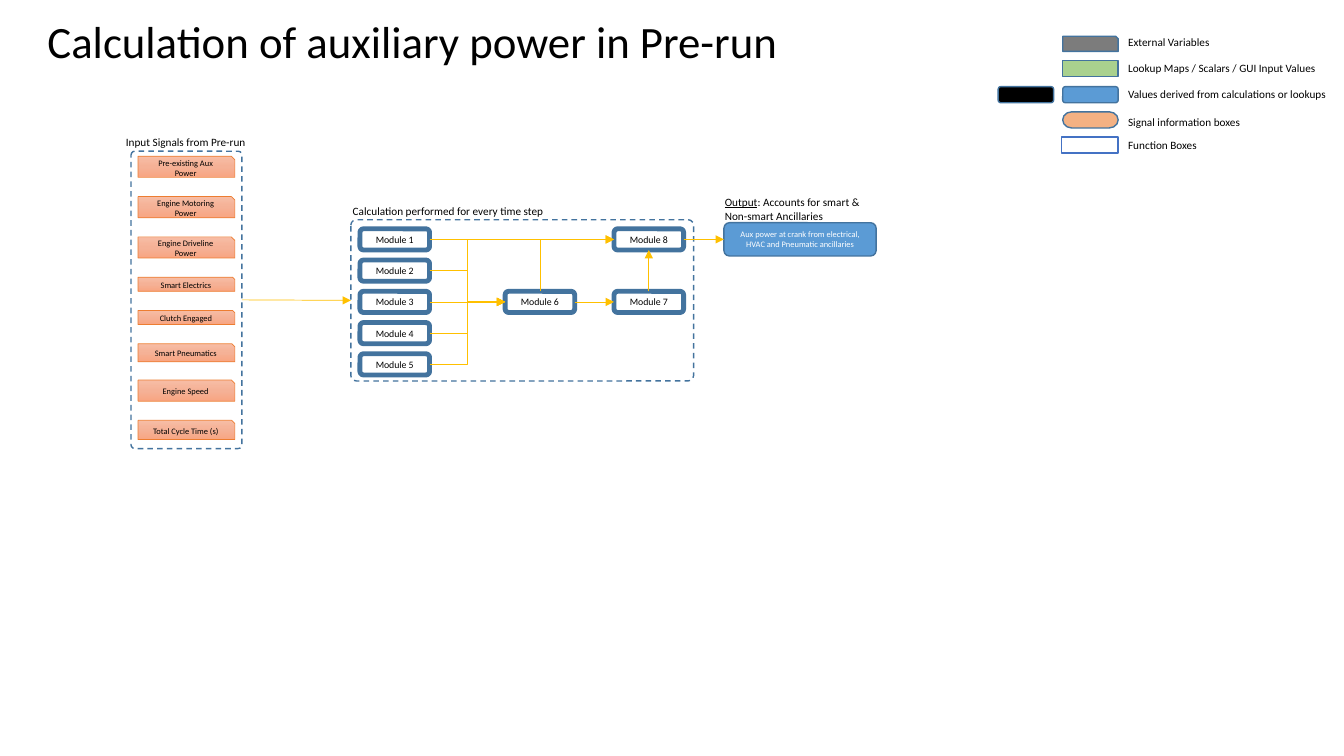
"""Build the slide on how auxiliary power is calculated in the pre-run."""
from copy import deepcopy
from dataclasses import dataclass
from typing import Optional

from lxml.etree import SubElement
from pptx import Presentation
from pptx.dml.color import RGBColor
from pptx.enum.dml import MSO_LINE
from pptx.enum.shapes import MSO_CONNECTOR as Route, MSO_SHAPE as Geometry
from pptx.enum.text import MSO_ANCHOR as Anchor, MSO_AUTO_SIZE as AutoSize, PP_ALIGN as Align
from pptx.oxml.ns import qn
from pptx.shapes.autoshape import Shape
from pptx.shapes.connector import Connector
from pptx.slide import Slide
from pptx.text.text import TextFrame
from pptx.util import Emu, Pt

EMU_PER_PX = 9144
FONT = "Calibri"
BLACK = RGBColor(0x00, 0x00, 0x00)
WHITE = RGBColor(0xFF, 0xFF, 0xFF)
STEEL = RGBColor(0x43, 0x73, 0x9E)
BLUE = RGBColor(0x5B, 0x9B, 0xD5)
ROYAL = RGBColor(0x44, 0x72, 0xC4)
GRAY = RGBColor(0x7C, 0x7C, 0x7C)
GREEN = RGBColor(0xA9, 0xD1, 0x8E)
PEACH = RGBColor(0xF4, 0xB1, 0x83)
ORANGE = RGBColor(0xED, 0x7D, 0x31)
GOLD = RGBColor(0xFF, 0xC0, 0x00)
SIGNAL_STOPS = (
    (0, RGBColor(0xF7, 0xBD, 0xA5)),
    (0.5, RGBColor(0xF5, 0xB1, 0x96)),
    (1, RGBColor(0xF8, 0xA5, 0x82)),
)
TOP, LEFT, BOTTOM, RIGHT = range(4)


@dataclass(frozen=True)
class Box:
    left: int
    top: int
    width: int
    height: int
    geometry: Geometry = Geometry.ROUNDED_RECTANGLE
    fill: Optional[RGBColor] = None
    line: RGBColor = STEEL
    weight: float = 1
    text: str = ""
    size: int = 6
    color: RGBColor = BLACK


@dataclass(frozen=True)
class Label:
    text: str
    left: int
    top: int
    width: int
    height: int = 24
    underlined: str = ""


@dataclass(frozen=True)
class Link:
    start: str
    start_side: int
    end: str
    end_side: int
    route: Route = Route.STRAIGHT


@dataclass(frozen=True)
class LegendRow:
    text: str
    text_top: int
    text_width: int
    swatch: Box


MODULE_SPOTS = {f"Module {row + 1}": (357, 227 + 31 * row) for row in range(5)}
MODULE_SPOTS |= {"Module 6": (501, 289), "Module 7": (609, 289), "Module 8": (609, 227)}

SIGNALS = (
    ("Pre-existing Aux Power", 155, 21),
    ("Engine Motoring Power", 195, 21),
    ("Engine Driveline Power", 235, 21),
    ("Smart Electrics", 275, 14),
    ("Clutch Engaged", 308, 14),
    ("Smart Pneumatics", 341, 18),
    ("Engine Speed", 377, 21),
    ("Total Cycle Time (s)", 417, 19),
)
FRAMES = {"inputs": Box(130, 150, 110, 295), "calculation": Box(348, 218, 340, 160)}
OUTPUT = Box(718, 221, 151, 33, fill=BLUE, color=WHITE,
             text="Aux power at crank from electrical, HVAC and Pneumatic ancillaries")
LABELS = (
    Label("Input Signals from Pre-run", 115, 129, 140),
    Label("Output: Accounts for smart &\nNon-smart Ancillaries", 709, 189, 155, 37, "Output"),
    Label("Calculation performed for every time step", 340, 198, 214),
)
LINKS = (
    *(Link(f"Module {n}", RIGHT, "Module 6", LEFT, Route.ELBOW) for n in range(1, 6)),
    Link("Module 6", RIGHT, "Module 7", LEFT),
    Link("Module 1", RIGHT, "Module 8", LEFT),
    Link("Module 7", TOP, "Module 8", BOTTOM),
    Link("Module 8", RIGHT, "output", LEFT),
    Link("inputs", RIGHT, "calculation", LEFT),
)
LEGEND = (
    LegendRow("External Variables", 30, 105,
              Box(1054, 36, 55, 15, Geometry.SNIP_1_RECTANGLE, GRAY)),
    LegendRow("Lookup Maps / Scalars / GUI Input Values", 56, 211,
              Box(1054, 60, 55, 16, Geometry.RECTANGLE, GREEN)),
    LegendRow("Values derived from calculations or lookups", 82, 220,
              Box(1054, 86, 55, 16, fill=BLUE)),
    LegendRow("Signal information boxes", 109, 133,
              Box(1054, 111, 55, 16, Geometry.FLOWCHART_TERMINATOR, PEACH)),
    LegendRow("Function Boxes", 132, 90,
              Box(1053, 136, 56, 16, Geometry.RECTANGLE, WHITE, ROYAL)),
)
SPARE_SWATCH = Box(990, 86, 55, 16, fill=BLACK)


def px(*lengths: int) -> list[Emu]:
    return [Emu(length * EMU_PER_PX) for length in lengths]


def write(frame: TextFrame, text: str, *, size: int, color: RGBColor = BLACK,
          align: Align = Align.LEFT, anchor: Anchor = Anchor.TOP,
          wrap: bool = False, underlined: str = "") -> None:
    frame.word_wrap = wrap
    frame.auto_size = AutoSize.NONE if wrap else AutoSize.SHAPE_TO_FIT_TEXT
    frame.vertical_anchor = anchor
    for index, line in enumerate(text.split("\n")):
        para = frame.add_paragraph() if index else frame.paragraphs[0]
        para.alignment = align
        lead = underlined if underlined and line.startswith(underlined) else ""
        for part in filter(None, (lead, line[len(lead):])):
            span = para.add_run()
            span.text = part
            span.font.name, span.font.size = FONT, Pt(size)
            span.font.color.rgb = color
            if part == lead:
                span.font.underline = True


def draw_box(page: Slide, box: Box) -> Shape:
    shape = page.shapes.add_shape(
        box.geometry, *px(box.left, box.top, box.width, box.height))
    shape.shadow.inherit = False
    if box.fill is None:
        shape.fill.background()
    else:
        shape.fill.solid()
        shape.fill.fore_color.rgb = box.fill
    shape.line.color.rgb = box.line
    shape.line.width = Pt(box.weight)
    if box.text:
        write(shape.text_frame, box.text, size=box.size, color=box.color,
              align=Align.CENTER, anchor=Anchor.MIDDLE, wrap=True)
    return shape


def draw_frame(page: Slide, box: Box) -> Shape:
    shape = draw_box(page, box)
    shape.adjustments[0] = 0.034
    shape.line.dash_style = MSO_LINE.DASH
    return shape


def draw_signal(page: Slide, text: str, top: int, height: int) -> None:
    shape = draw_box(page, Box(137, top, 96, height, Geometry.SNIP_1_RECTANGLE,
                               line=ORANGE, weight=0.5, text=text))
    shape.fill.gradient()
    shape.fill.gradient_angle = 270
    stop_list = shape._element.spPr.find(f"{qn('a:gradFill')}/{qn('a:gsLst')}")
    stop_list.append(deepcopy(stop_list[-1]))
    for stop, (position, color) in zip(shape.fill.gradient_stops, SIGNAL_STOPS):
        stop.position = position
        stop.color.rgb = color


def draw_label(page: Slide, label: Label) -> None:
    box = page.shapes.add_textbox(*px(label.left, label.top, label.width, label.height))
    write(box.text_frame, label.text, size=8, underlined=label.underlined)


def draw_link(page: Slide, link: Link, shapes: dict[str, Shape],
              arrow: str = "a:tailEnd") -> Connector:
    connector = page.shapes.add_connector(link.route, 0, 0, 0, 0)
    connector.begin_connect(shapes[link.start], link.start_side)
    connector.end_connect(shapes[link.end], link.end_side)
    connector.line.color.rgb = GOLD
    connector.line.width = Pt(0.5)
    properties = connector._element.spPr
    SubElement(properties.find(qn("a:ln")), qn(arrow), type="triangle")
    SubElement(properties, qn("a:effectLst"))
    return connector


def main() -> None:
    deck = Presentation()
    deck.slide_width, deck.slide_height = px(1333, 750)
    page = deck.slides.add_slide(deck.slide_layouts[5])
    title = page.shapes.title
    title.left, title.top, title.width, title.height = px(37, 9, 755, 64)
    write(title.text_frame, "Calculation of auxiliary power in Pre-run", size=32)

    shapes = {name: draw_frame(page, box) for name, box in FRAMES.items()}
    for name, (left, top) in MODULE_SPOTS.items():
        shapes[name] = draw_box(page, Box(left, top, 69, 21, fill=WHITE,
                                          weight=3.5, text=name, size=7))
    shapes["output"] = draw_box(page, OUTPUT)
    for signal in SIGNALS:
        draw_signal(page, *signal)
    for link in LINKS:
        draw_link(page, link, shapes)
    corner = draw_link(page, Link("Module 8", LEFT, "Module 6", TOP, Route.ELBOW),
                       shapes, arrow="a:headEnd")
    corner._element.spPr.find(qn("a:prstGeom")).set("prst", "bentConnector2")

    for label in LABELS:
        draw_label(page, label)
    for row in LEGEND:
        draw_box(page, row.swatch)
        draw_label(page, Label(row.text, 1109, row.text_top, row.text_width))
    draw_box(page, SPARE_SWATCH)
    deck.save("out.pptx")


if __name__ == "__main__":
    main()
